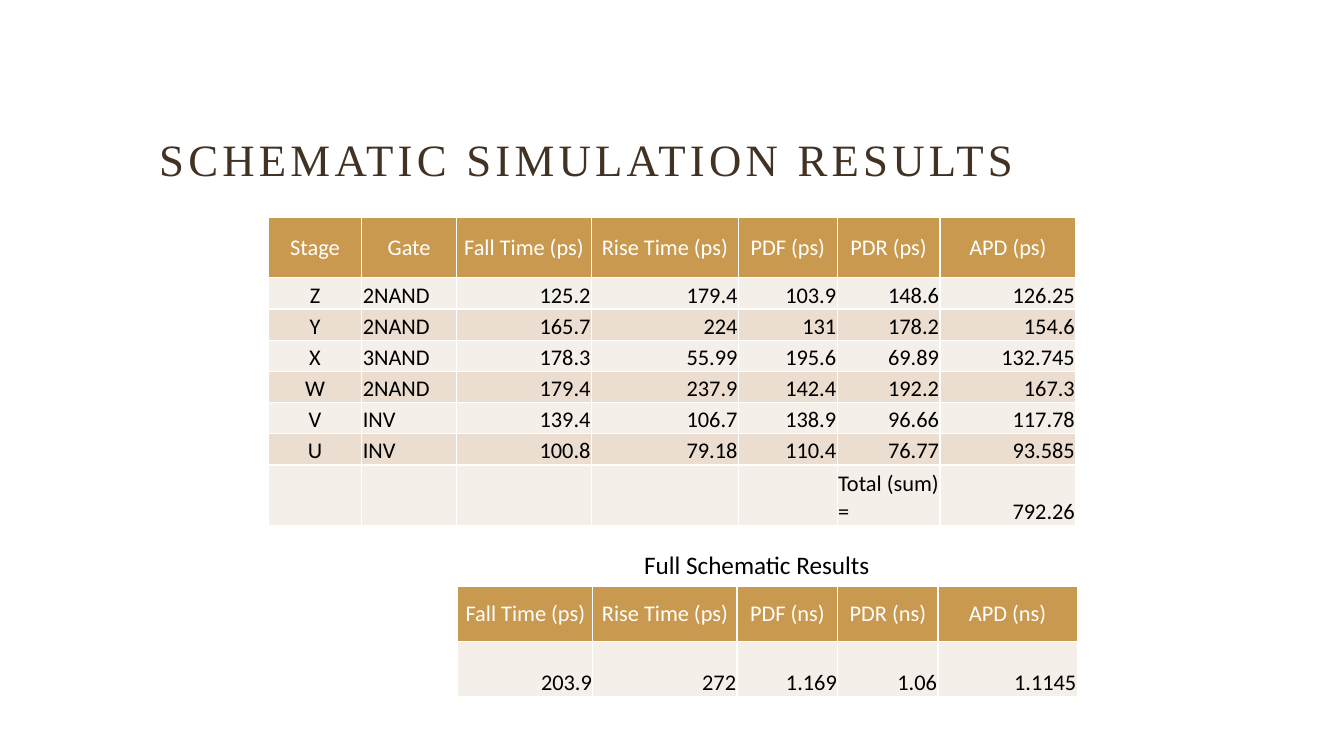
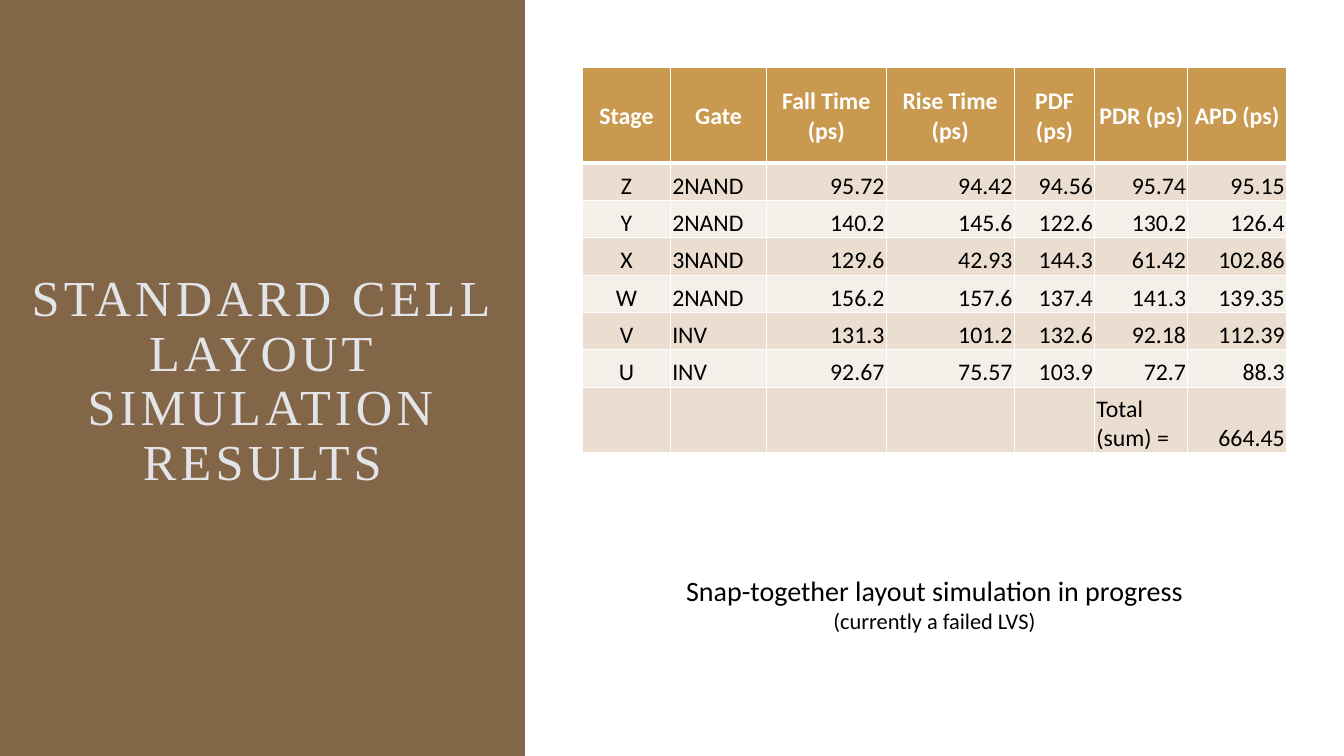
from dataclasses import dataclass

from lxml.etree import SubElement
from pptx import Presentation
from pptx.dml.color import RGBColor
from pptx.enum.shapes import MSO_SHAPE
from pptx.enum.text import MSO_ANCHOR, MSO_AUTO_SIZE, PP_ALIGN
from pptx.oxml.ns import qn
from pptx.util import Pt


@dataclass(frozen=True)
class Theme:
    # Colours
    white: str = "FFFFFF"
    black: str = "000000"
    title_dark: str = "413224"
    title_light: str = "E2E4E8"
    panel: str = "836548"
    header: str = "C9994F"
    pale: str = "F5EFE9"
    tan: str = "EBDED0"
    # Fonts and type sizes
    title_font: str = "Times New Roman"
    body_font: str = "Calibri"
    title_size: float = 32
    side_title_size: float = 36
    table_size: float = 16
    large_table_size: float = 17
    caption_size: float = 18
    note_size: float = 20
    small_note_size: float = 16
    title_spacing: float = 3


THEME = Theme()
TITLE_ONLY = 5
SLIDE_WIDTH, SLIDE_HEIGHT = 960, 540
STAGE_HEADER = ["Stage", "Gate", "Fall Time (ps)", "Rise Time (ps)",
                "PDF (ps)", "PDR (ps)", "APD (ps)"]
STAGE_GATES = [("Z", "2NAND"), ("Y", "2NAND"), ("X", "3NAND"),
               ("W", "2NAND"), ("V", "INV"), ("U", "INV")]

SCHEMATIC_TIMES = [
    ["125.2", "179.4", "103.9", "148.6", "126.25"],
    ["165.7", "224", "131", "178.2", "154.6"],
    ["178.3", "55.99", "195.6", "69.89", "132.745"],
    ["179.4", "237.9", "142.4", "192.2", "167.3"],
    ["139.4", "106.7", "138.9", "96.66", "117.78"],
    ["100.8", "79.18", "110.4", "76.77", "93.585"],
]
FULL_SCHEMATIC = [
    ["Fall Time (ps)", "Rise Time (ps)", "PDF (ns)", "PDR (ns)", "APD (ns)"],
    ["203.9", "272", "1.169", "1.06", "1.1145"],
]
LAYOUT_TIMES = [
    ["95.72", "94.42", "94.56", "95.74", "95.15"],
    ["140.2", "145.6", "122.6", "130.2", "126.4"],
    ["129.6", "42.93", "144.3", "61.42", "102.86"],
    ["156.2", "157.6", "137.4", "141.3", "139.35"],
    ["131.3", "101.2", "132.6", "92.18", "112.39"],
    ["92.67", "75.57", "103.9", "72.7", "88.3"],
]


def stage_rows(times, total):
    """Header, one row per stage, and the closing sum."""
    stages = [[*stage, *values] for stage, values in zip(STAGE_GATES, times)]
    return [STAGE_HEADER, *stages, [""] * 5 + ["Total (sum) =", total]]


def format_paragraph(paragraph, size, color, align=PP_ALIGN.LEFT,
                     font=THEME.body_font, bold=False):
    paragraph.alignment = align
    for run in paragraph.runs:
        run.font.name = font
        run.font.size = Pt(size)
        run.font.bold = bold
        run.font.color.rgb = RGBColor.from_string(color)


def place(shape, left, top, width, height):
    shape.left, shape.top = Pt(left), Pt(top)
    shape.width, shape.height = Pt(width), Pt(height)


def set_title(slide, text, box, size, color, align=PP_ALIGN.LEFT):
    title = slide.shapes.title
    place(title, *box)
    frame = title.text_frame
    frame.text = text
    frame.word_wrap = True
    frame.auto_size = MSO_AUTO_SIZE.NONE
    frame.vertical_anchor = MSO_ANCHOR.BOTTOM
    paragraph = frame.paragraphs[0]
    paragraph.line_spacing = 0.9
    format_paragraph(paragraph, size, color, align, THEME.title_font)
    for run in paragraph.runs:
        run.font._element.set("spc", str(int(THEME.title_spacing * 100)))


def add_side_panel(slide, width):
    panel = slide.shapes.add_shape(MSO_SHAPE.RECTANGLE, 0, 0,
                                   Pt(width), Pt(SLIDE_HEIGHT))
    panel.shadow.inherit = False
    panel.fill.solid()
    panel.fill.fore_color.rgb = RGBColor.from_string(THEME.panel)
    panel.line.fill.background()
    # The panel lies behind the title
    slide.shapes.title.element.addprevious(panel.element)


def add_text(slide, box, lines, align=PP_ALIGN.LEFT, anchor=MSO_ANCHOR.TOP):
    """Each line is a pair of text and type size."""
    frame = slide.shapes.add_textbox(*map(Pt, box)).text_frame
    frame.word_wrap = True
    frame.vertical_anchor = anchor
    frame.text = "\n".join(text for text, _ in lines)
    for paragraph, (_, size) in zip(frame.paragraphs, lines):
        format_paragraph(paragraph, size, THEME.black, align)


def set_borders(cell, top, bottom):
    properties = cell._tc.get_or_add_tcPr()
    for side, width in (("L", 1), ("R", 1), ("T", top), ("B", bottom)):
        line = SubElement(properties, qn(f"a:ln{side}"), w=str(Pt(width)))
        color = SubElement(SubElement(line, qn("a:solidFill")),
                           qn("a:srgbClr"))
        color.set("val", THEME.white)


def body_alignment(text, column):
    if text.replace(".", "").isdigit():
        return PP_ALIGN.RIGHT
    return PP_ALIGN.CENTER if column == 0 else PP_ALIGN.LEFT


def add_results(slide, position, widths, heights, rows, size, bands,
                inset, bold_header=False, header_rule=1):
    left, top = position
    table = slide.shapes.add_table(
        len(rows), len(widths), Pt(left), Pt(top),
        Pt(sum(widths)), Pt(sum(heights))).table
    table.first_row = table.horz_banding = False
    for column, width in zip(table.columns, widths):
        column.width = Pt(width)
    for row, height in zip(table.rows, heights):
        row.height = Pt(height)

    for r, values in enumerate(rows):
        is_header = r == 0
        fill = THEME.header if is_header else bands[(r - 1) % 2]
        for c, text in enumerate(values):
            cell = table.cell(r, c)
            set_borders(cell, top=header_rule if r == 1 else 1,
                        bottom=header_rule if is_header else 1)
            cell.fill.solid()
            cell.fill.fore_color.rgb = RGBColor.from_string(fill)
            cell.margin_left = cell.margin_right = cell.margin_top = Pt(inset)
            cell.margin_bottom = 0
            cell.vertical_anchor = (MSO_ANCHOR.MIDDLE if is_header
                                    else MSO_ANCHOR.BOTTOM)
            cell.text_frame.text = text
            format_paragraph(
                cell.text_frame.paragraphs[0], size,
                THEME.white if is_header else THEME.black,
                PP_ALIGN.CENTER if is_header else body_alignment(text, c),
                bold=is_header and bold_header)


def build_schematic_slide(slide):
    set_title(slide, "SCHEMATIC SIMULATION RESULTS",
              (106.5, 28.8, 747.5, 108), THEME.title_size, THEME.title_dark)
    bands = (THEME.pale, THEME.tan)
    # Results by stage
    add_results(slide, (191.5, 155.5), [67, 67.5, 96.5, 105, 70.5, 73.5, 97],
                [43, *[22.3] * 6, 43], stage_rows(SCHEMATIC_TIMES, "792.26"),
                THEME.table_size, bands, inset=0.7)
    # Results for the whole circuit
    add_results(slide, (327, 418.5), [96.5, 103, 72, 71.5, 99.5],
                [39.5, 39.5], FULL_SCHEMATIC, THEME.table_size, bands,
                inset=0.7)
    add_text(slide, (453, 389, 355, 29),
             [("Full Schematic Results", THEME.caption_size)])


def build_layout_slide(slide):
    add_side_panel(slide, 375)
    set_title(slide, "STANDARD CELL LAYOUT SIMULATION RESULTS",
              (11.5, 186.5, 352, 168), THEME.side_title_size,
              THEME.title_light, PP_ALIGN.CENTER)
    # Results by stage
    add_results(slide, (416, 48.5), [63, 68.5, 85.5, 91.5, 57.5, 66.5, 70.5],
                [68, *[26.7] * 6, 47], stage_rows(LAYOUT_TIMES, "664.45"),
                THEME.large_table_size, (THEME.tan, THEME.pale),
                inset=1.2, bold_header=True, header_rule=3)
    # Progress note
    add_text(slide, (416, 406, 503, 51),
             [("Snap-together layout simulation in progress", THEME.note_size),
              ("(currently a failed LVS)", THEME.small_note_size)],
             PP_ALIGN.CENTER, MSO_ANCHOR.MIDDLE)


def main():
    deck = Presentation()
    deck.slide_width, deck.slide_height = Pt(SLIDE_WIDTH), Pt(SLIDE_HEIGHT)
    for build in (build_schematic_slide, build_layout_slide):
        build(deck.slides.add_slide(deck.slide_layouts[TITLE_ONLY]))
    deck.save("out.pptx")


if __name__ == "__main__":
    main()
